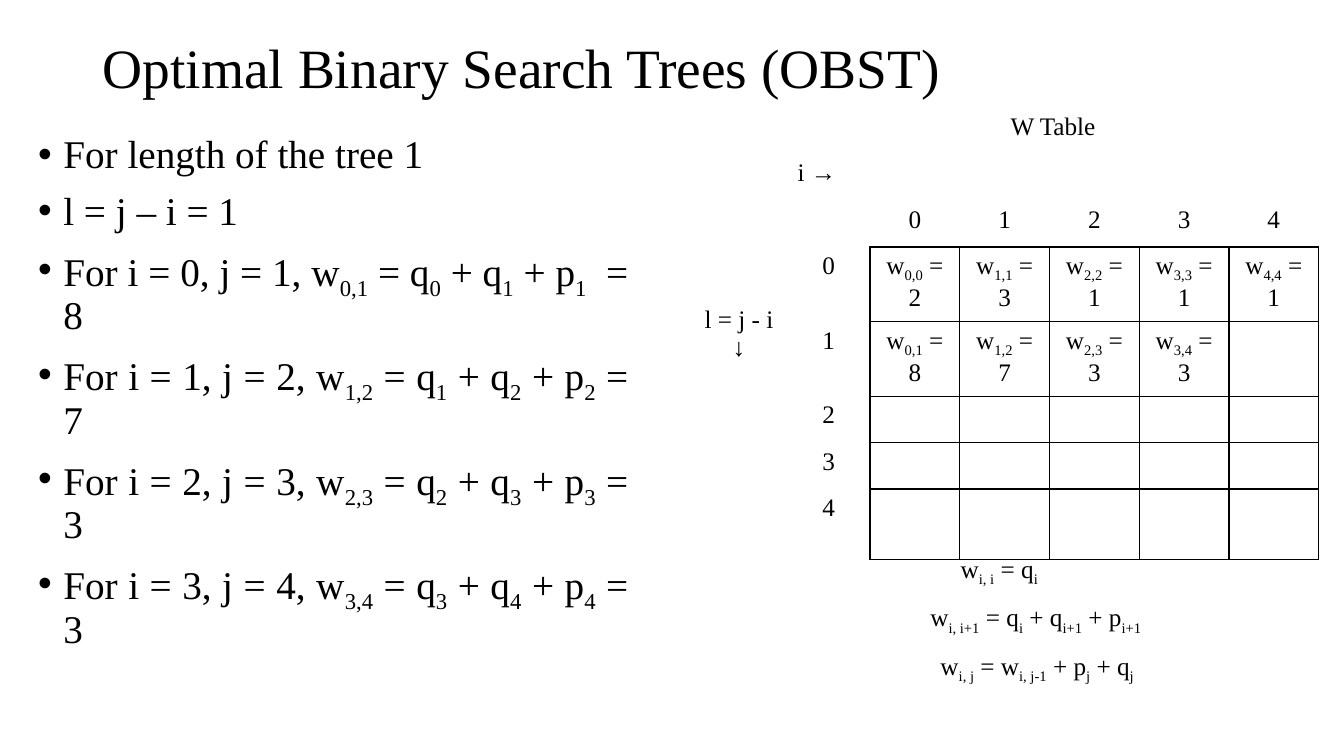
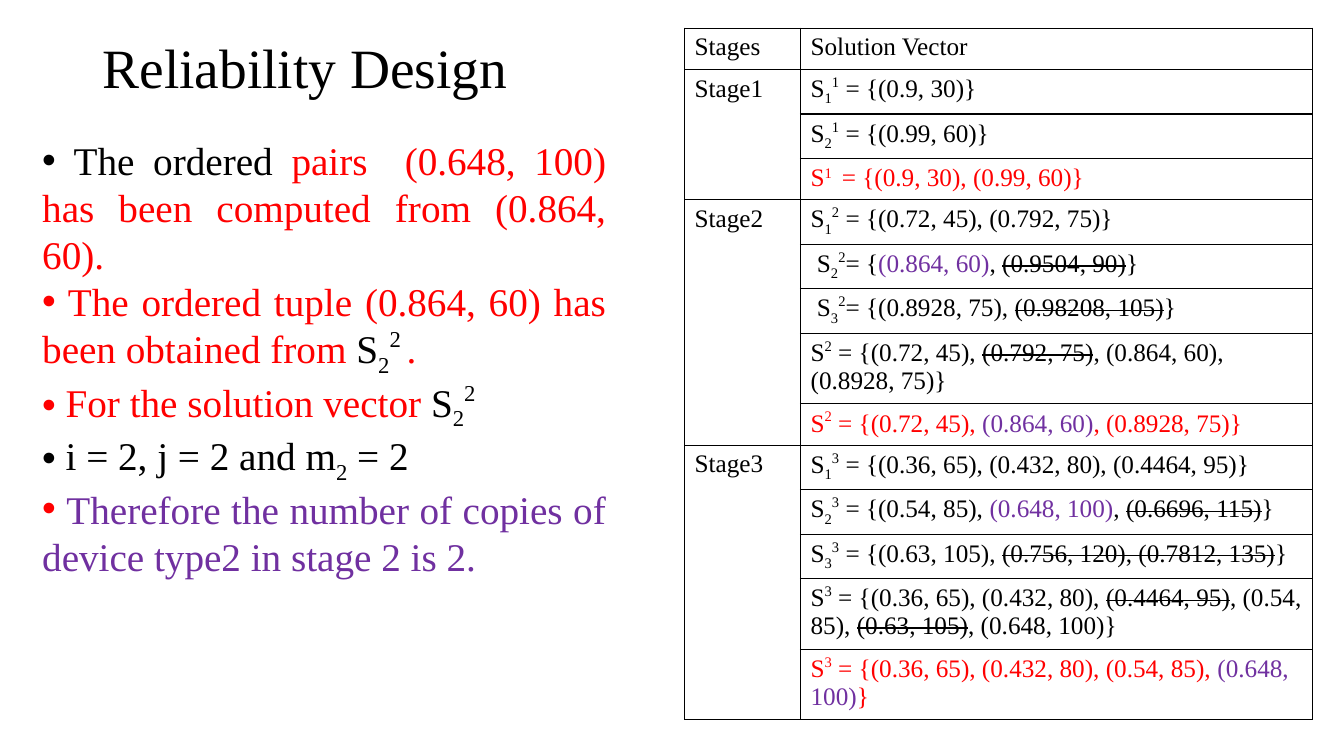
from lxml.etree import SubElement
from pptx import Presentation
from pptx.dml.color import RGBColor
from pptx.enum.text import MSO_ANCHOR, PP_ALIGN
from pptx.oxml.ns import qn
from pptx.util import Inches, Pt

FONT = "Times New Roman"
BLACK, RED, PURPLE = "000000", "FF0000", "7030A0"
TITLE_SIZE, BODY_SIZE, SMALL_SIZE = 39.6, 28, 18
BASELINES = {"_": "-25000", "^": "40000", "'": "30000"}
COLOURS = {"!": RED, "#": PURPLE}
STRIKE = "~"
LEFT, CENTER, JUSTIFY = PP_ALIGN.LEFT, PP_ALIGN.CENTER, PP_ALIGN.JUSTIFY

W_ROWS = [[2, 3, 1, 1, 1], [8, 7, 3, 3]]
FORMULAS = [
    (9.43, 1.79, "w|_i, i| = q|_i"),
    (9.13, 3.06, "w|_i, i+1| = q|_i| + q|_i+1| + p|_i+1"),
    (9.23, 2.8, "w|_i, j| = w|_i, j-1| + p|_j| + q|_j"),
]
STAGES = [
    ("Stage1", [
        ("S|_1|^1| = {(0.9, 30)}", BLACK),
        ("S|_2|^1| = {(0.99, 60)}", BLACK),
        ("S|'1 | = {(0.9, 30), (0.99, 60)}", RED),
    ]),
    ("Stage2", [
        ("S|_1|^2| = {(0.72, 45), (0.792, 75)}", BLACK),
        (" S|_2|^2|= {|#(0.864, 60)|, |~(0.9504, 90)|}", BLACK),
        (" S|_3|^2|= {(0.8928, 75), |~(0.98208, 105)|}", BLACK),
        ("S|^2| = {(0.72, 45), |~(0.792, 75)|, (0.864, 60), (0.8928, 75)}", BLACK),
        ("S|^2| = {(0.72, 45), |#(0.864, 60)|, (0.8928, 75)}", RED),
    ]),
    ("Stage3", [
        ("S|_1|^3| = {(0.36, 65), (0.432, 80), (0.4464, 95)}", BLACK),
        ("S|_2|^3| = {(0.54, 85), |#(0.648, 100)|, |~(0.6696, 115)|}", BLACK),
        ("S|_3|^3| = {(0.63, 105), |~(0.756, 120), (0.7812, 135)|}", BLACK),
        ("S|^3| = {(0.36, 65), (0.432, 80), |~(0.4464, 95)|, (0.54, 85), "
         "|~(0.63, 105)|, (0.648, 100)}", BLACK),
        ("S|^3| = {(0.36, 65), (0.432, 80), (0.54, 85), |#(0.648, 100)|}", RED),
    ]),
]
RELIABILITY_POINTS = [
    " The ordered |!pairs  (0.648, 100) has been computed from (0.864, 60).",
    "! The ordered tuple (0.864, 60) has been obtained from |S|_2|^2 |!. ",
    "! For the solution vector |S|_2|^2 ",
    " i = 2, j = 2 and m|_2| = 2",
    "! |#Therefore the number of copies of device type2 in stage 2 is 2.",
]


def rgb(value):
    """Turn a hex string into a colour."""
    return RGBColor.from_string(value)


def write(p, text, size, color=BLACK, align=LEFT):
    """Fill a paragraph from pieces split by bars, each led by an optional style mark."""
    p.alignment = align
    for piece in text.split("|"):
        mark = piece[:1]
        styled = mark in BASELINES or mark in COLOURS or mark == STRIKE
        r = p.add_run()
        r.text = piece[1:] if styled else piece
        r.font.name, r.font.size = FONT, Pt(size)
        r.font.color.rgb = rgb(COLOURS.get(mark, color))
        if mark in BASELINES:
            r.font._element.set("baseline", BASELINES[mark])
        if mark == STRIKE:
            r.font._element.set("strike", "sngStrike")


def add_text(s, box, lines, size, align=LEFT):
    """Add a wrapped text box with one paragraph per line and return its frame."""
    tf = s.shapes.add_textbox(*map(Inches, box)).text_frame
    tf.word_wrap = True
    for n, line in enumerate(lines):
        write(tf.add_paragraph() if n else tf.paragraphs[0], line, size, align=align)
    return tf


def add_title(s, text, width):
    """Add the slide title."""
    tf = add_text(s, (0.92, 0.39, width, 0.61), [text], TITLE_SIZE)
    tf.vertical_anchor = MSO_ANCHOR.MIDDLE
    tf.paragraphs[0].line_spacing = 0.9


def add_bullets(s, box, lines, indent=0.0, line_spacing=1.0, space_before=0):
    """Add a justified bullet list."""
    tf = add_text(s, box, lines, BODY_SIZE, JUSTIFY)
    for p in tf.paragraphs:
        p.line_spacing, p.space_before = line_spacing, Pt(space_before)
        pPr = p._p.get_or_add_pPr()
        pPr.set("marL", str(Inches(indent)))
        pPr.set("indent", str(-Inches(indent)))
        SubElement(pPr, qn("a:buFont"), typeface="Arial")
        SubElement(pPr, qn("a:buChar"), char="•")


def set_borders(cell, sides):
    """Draw black lines on the given sides of a cell and clear the others."""
    tcPr = cell._tc.get_or_add_tcPr()
    for side in "LRTB":
        ln = SubElement(tcPr, qn(f"a:ln{side}"), w=str(Pt(1)))
        if side in sides:
            fill = SubElement(ln, qn("a:solidFill"))
            SubElement(fill, qn("a:srgbClr"), val=BLACK)
        else:
            SubElement(ln, qn("a:noFill"))
    cell.fill.background()


def add_grid(s, box, widths, row_count, row_height, sides_at):
    """Add a plain table of equal minimum row heights, bordered by sides_at(row, column)."""
    frame = s.shapes.add_table(row_count, len(widths), *map(Inches, box))
    table = frame.table
    table.first_row = table.horz_banding = False
    for column, width in zip(table.columns, widths):
        column.width = Inches(width)
    for i, row in enumerate(table.rows):
        row.height = Inches(row_height)
        for j, cell in enumerate(row.cells):
            set_borders(cell, sides_at(i, j))
    frame.height = Inches(box[3])
    return table


def write_cell(cell, text, color=BLACK, align=CENTER):
    """Write one line of table text."""
    write(cell.text_frame.paragraphs[0], text, SMALL_SIZE, color, align)


def w_table_sides(row, column):
    """Give the bordered sides of a cell in the W table."""
    if row > 2 and column > 1:
        return "LRTB"
    if row == 2 and column > 1:
        return "B"
    return "R" if row > 2 and column == 1 else ""


def add_w_table(s, box):
    """Add the table of weights with its row and column labels."""
    table = add_grid(s, box, [0.96, 0.82] + [0.89] * 5, 8, 0.46, w_table_sides)
    side = table.cell(0, 0)
    side.merge(table.cell(7, 0))
    side.vertical_anchor = MSO_ANCHOR.MIDDLE
    write_cell(side, "l = j - i")
    write(side.text_frame.add_paragraph(), "↓", SMALL_SIZE, align=CENTER)
    table.cell(0, 1).merge(table.cell(0, 6))
    write_cell(table.cell(0, 1), "W Table")
    write_cell(table.cell(1, 1), "i →", align=LEFT)
    for n in range(5):
        write_cell(table.cell(2, n + 2), str(n))
        write_cell(table.cell(n + 3, 1), str(n))
    for length, values in enumerate(W_ROWS):
        for i, value in enumerate(values):
            text = f"w|_{i},{i + length}| = {value}"
            write_cell(table.cell(length + 3, i + 2), text)


def add_stage_table(s, box):
    """Add the table of solution vectors grouped by stage."""
    row_count = 1 + sum(len(group) for _, group in STAGES)
    table = add_grid(s, box, [1.15, 5.08], row_count, 0.41, lambda row, column: "LRTB")
    write_cell(table.cell(0, 0), "Stages", align=LEFT)
    write_cell(table.cell(0, 1), "Solution Vector", align=LEFT)
    row = 1
    for stage, group in STAGES:
        table.cell(row, 0).merge(table.cell(row + len(group) - 1, 0))
        write_cell(table.cell(row, 0), stage, align=LEFT)
        for text, color in group:
            write_cell(table.cell(row, 1), text, color, LEFT)
            row += 1


def build_search_tree_slide(s):
    """Build the slide on optimal binary search trees."""
    add_title(s, "Optimal Binary Search Trees (OBST)", 11.5)
    points = ["For length of the tree 1", "l = j – i = 1"]
    for i, value in enumerate(W_ROWS[1]):
        j = i + 1
        gap = " " if i else "  "
        points.append(f"For i = {i}, j = {j}, w|_{i},{j}| = q|_{i}| + q|_{j}| + p|_{j}|{gap}= {value}")
    add_bullets(s, (0.28, 1.29, 6.05, 5.81), points, 0.25, 0.9, 10)
    add_w_table(s, (6.85, 1.07, 6.22, 4.14))
    for n, (left, width, formula) in enumerate(FORMULAS):
        add_text(s, (left, 5.44 + 0.48 * n, width, 0.4), [formula], SMALL_SIZE)


def build_reliability_slide(s):
    """Build the slide on reliability design."""
    add_title(s, "Reliability Design", 5.92)
    add_stage_table(s, (6.79, 0.28, 6.23, 6.56))
    add_bullets(s, (0.32, 1.3, 5.79, 4.91), RELIABILITY_POINTS)


def main():
    """Build and save the presentation."""
    prs = Presentation()
    prs.slide_width, prs.slide_height = Inches(13.33), Inches(7.5)
    for build in (build_search_tree_slide, build_reliability_slide):
        build(prs.slides.add_slide(prs.slide_layouts[6]))
    prs.save("out.pptx")


if __name__ == "__main__":
    main()
